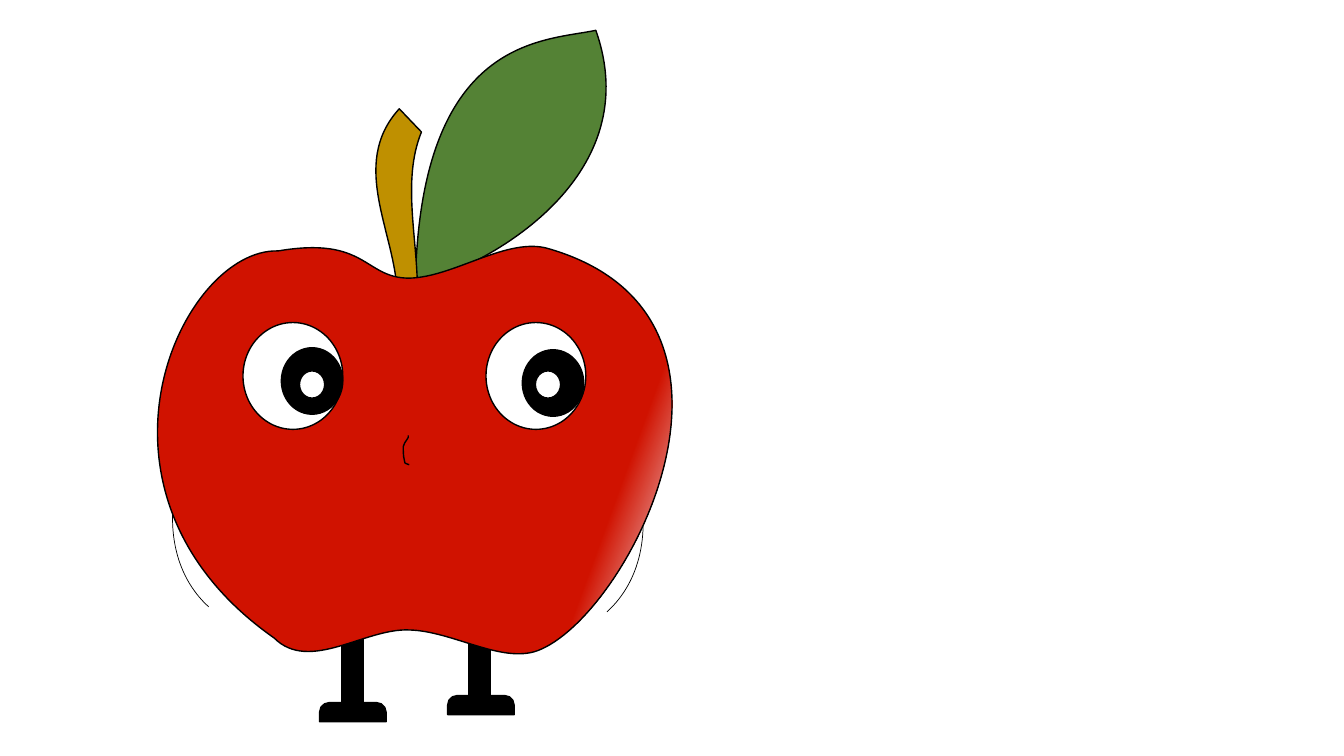
import math

import lxml.etree
import pptx
import pptx.dml.color
import pptx.enum.shapes
import pptx.oxml.ns
import pptx.util

Inches = pptx.util.Inches
RGBColor = pptx.dml.color.RGBColor
SHAPE = pptx.enum.shapes.MSO_SHAPE
qn = pptx.oxml.ns.qn

BLACK = RGBColor(0x00, 0x00, 0x00)
WHITE = RGBColor(0xFF, 0xFF, 0xFF)
LEAF_GREEN = RGBColor(0x54, 0x82, 0x35)
STEM_BROWN = RGBColor(0xBF, 0x90, 0x00)
APPLE_RED = RGBColor(0xD0, 0x12, 0x00)
SHINE = RGBColor(0xF6, 0xF8, 0xFC)

ARM_TILT = 47.8
ARM_START = 165.025

LEAF = [(4.12, 2.81), (4.17, 0.36, 5.39, 0.41, 5.91, 0.3),
        (6.46, 1.86, 4.62, 2.73, 4.12, 2.81)]
STEM = [(3.96, 1.08), (4.18, 1.31), (3.98, 1.8, 4.15, 2.39, 4.14, 2.93),
        (3.94, 2.95), (3.94, 2.33, 3.45, 1.64, 3.96, 1.08)]
BODY = [(2.76, 2.49), (3.64, 2.34, 3.61, 2.76, 4.06, 2.76),
        (4.51, 2.75, 5.04, 2.34, 5.45, 2.47),
        (7.73, 3.14, 6.27, 6.04, 5.37, 6.44),
        (5.01, 6.61, 4.5, 6.26, 4.06, 6.25),
        (3.62, 6.23, 3.07, 6.68, 2.72, 6.33),
        (0.65, 4.88, 1.8, 2.46, 2.76, 2.49)]
NOSE = [(4.05, 4.32), (4.05, 4.32, 4.05, 4.33, 4.05, 4.34),
        (4.04, 4.35, 4.04, 4.35, 4.03, 4.37),
        (4.02, 4.38, 4.01, 4.4, 4, 4.43), (4, 4.47, 4, 4.53, 4.01, 4.56),
        (4.01, 4.59, 4.02, 4.6, 4.03, 4.6),
        (4.04, 4.61, 4.05, 4.61, 4.06, 4.61)]


def style(shape, fill=None, width=1):
    """Give a shape a black outline and a solid fill, or no fill."""
    shape.shadow.inherit = False
    shape.line.color.rgb = BLACK
    shape.line.width = pptx.util.Pt(width)
    if fill is None:
        shape.fill.background()
    else:
        shape.fill.solid()
        shape.fill.fore_color.rgb = fill


def add_preset(group, kind, left, top, width, height, fill=None, line_width=1):
    """Add a styled preset shape."""
    shape = group.shapes.add_shape(
        kind, Inches(left), Inches(top), Inches(width), Inches(height))
    style(shape, fill, line_width)
    return shape


def local_points(segment, box, rotation):
    """Turn the slide points of a segment into points inside a turned box."""
    left, top, width, height = box
    angle = math.radians(-rotation)
    points = []
    for x, y in zip(segment[::2], segment[1::2]):
        x, y = x - left - width / 2, y - top - height / 2
        points.append((
            x * math.cos(angle) - y * math.sin(angle) + width / 2,
            x * math.sin(angle) + y * math.cos(angle) + height / 2))
    return points


def add_outline(group, outline, box, rotation=0, fill=None, close=True):
    """Add a styled freeform of straight and curved segments in a box."""
    corners = [(Inches(segment[-2]), Inches(segment[-1])) for segment in outline]
    builder = group.shapes.build_freeform(*corners[0])
    builder.add_line_segments(corners[1:], close=close)
    shape = builder.convert_to_shape()
    shape.left, shape.top, shape.width, shape.height = map(Inches, box)
    shape.rotation = rotation

    geometry = next(shape.element.iter(qn("a:path")))
    geometry.set("w", str(shape.width))
    geometry.set("h", str(shape.height))
    commands = [command for command in geometry if command.tag != qn("a:close")]
    for command, segment in zip(commands, outline):
        tag = command.tag if len(segment) == 2 else qn("a:cubicBezTo")
        drawn = lxml.etree.Element(tag)
        for x, y in local_points(segment, box, rotation):
            lxml.etree.SubElement(drawn, qn("a:pt"),
                                  x=str(Inches(x)), y=str(Inches(y)))
        geometry.replace(command, drawn)
    style(shape, fill)
    return shape


def add_leg(group, left, top):
    """Add a leg."""
    add_preset(group, SHAPE.RECTANGLE, left, top, 0.21, 1.1, BLACK)


def add_foot(group, left, top):
    """Add a foot with a rounded top."""
    foot = add_preset(group, SHAPE.ROUND_2_SAME_RECTANGLE,
                      left, top, 0.66, 0.19, BLACK)
    foot.adjustments[0] = 0.5


def add_arm(group, left, top, mirrored):
    """Add a thin curved arm, mirrored for the left side."""
    arm = add_preset(group, SHAPE.ARC, left, top, 3.47, 2.65, line_width=0.5)
    arm.adjustments[0] = ARM_START * 60000 / 100000
    arm.adjustments[1] = 0
    arm.rotation = 360 - ARM_TILT if mirrored else ARM_TILT
    if mirrored:
        arm.element.spPr.xfrm.set("flipH", "1")


def add_body(group):
    """Add the apple body with a shine along its right edge."""
    body = add_outline(group, BODY, (1.56, 2.45, 5.1, 4.04), fill=APPLE_RED)
    body.fill.gradient()
    body.fill.gradient_angle = 340
    stops = ((0.83, APPLE_RED), (1, SHINE))
    for stop, (position, color) in zip(body.fill.gradient_stops, stops):
        stop.position = position
        stop.color.rgb = color


def add_eye(group, left, pupil_left, pupil_top):
    """Add an eye with its pupil."""
    add_preset(group, SHAPE.OVAL, left, 3.2, 0.99, 1.06, WHITE)
    add_preset(group, SHAPE.OVAL, pupil_left, pupil_top, 0.61, 0.66, BLACK)


def add_glint(group, left):
    """Add the white glint of a pupil."""
    add_preset(group, SHAPE.OVAL, left, 3.68, 0.25, 0.27, WHITE)


def main():
    """Build the apple character slide."""
    presentation = pptx.Presentation()
    presentation.slide_width = Inches(13.33)
    presentation.slide_height = Inches(7.5)
    slide = presentation.slides.add_slide(presentation.slide_layouts[6])
    apple = slide.shapes.add_group_shape()

    add_leg(apple, 4.65, 5.85)
    add_leg(apple, 3.39, 5.94)
    add_arm(apple, 1.5, 3.41, mirrored=True)
    add_arm(apple, 3.12, 3.46, mirrored=False)
    add_outline(apple, LEAF, (3.46, 0.82, 3.06, 1.42), 313.1, LEAF_GREEN)
    add_outline(apple, STEM, (3.76, 1.08, 0.49, 1.86), 354.2, STEM_BROWN)
    add_body(apple)
    add_eye(apple, 2.41, 2.79, 3.45)
    add_eye(apple, 4.82, 5.18, 3.47)
    add_outline(apple, NOSE, (4, 4.32, 0.06, 0.29), close=False)
    add_glint(apple, 2.97)
    add_glint(apple, 5.31)
    add_foot(apple, 3.17, 6.97)
    add_foot(apple, 4.44, 6.9)

    presentation.save("out.pptx")


if __name__ == "__main__":
    main()
